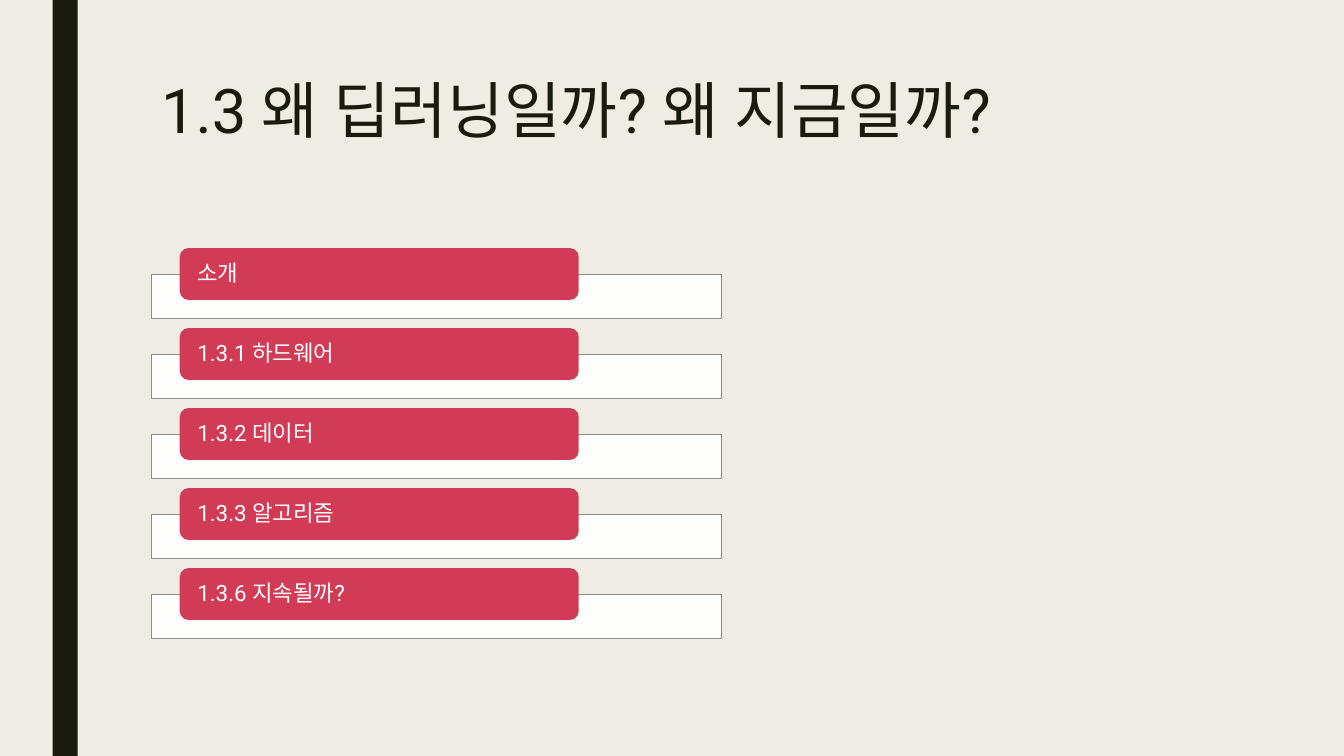
from lxml.etree import SubElement
from pptx import Presentation
from pptx.dml.color import RGBColor
from pptx.enum.shapes import MSO_SHAPE
from pptx.enum.text import MSO_ANCHOR, PP_ALIGN
from pptx.oxml.ns import qn
from pptx.util import Pt

COLORS = {
    "background": "EFEDE3",
    "dark": "191B0E",
    "accent": "D13B56",
    "white": "FFFFFF",
    "outline": "8C8D86",
}
FONT = "Roboto"
TOPICS = ["소개", "1.3.1 하드웨어", "1.3.2 데이터", "1.3.3 알고리즘", "1.3.6 지속될까?"]
FIRST_TOP = 177.2
ROW_STEP = 57.15


def add_block(kind, left, top, width, height, color):
    block = page.shapes.add_shape(kind, Pt(left), Pt(top), Pt(width), Pt(height))
    block.shadow.inherit = False
    block.fill.solid()
    block.fill.fore_color.rgb = RGBColor.from_string(COLORS[color])
    block.line.fill.background()
    return block


def write_text(box, text, size, color, spacing):
    para = box.text_frame.paragraphs[0]
    para.alignment = PP_ALIGN.LEFT
    para.line_spacing = spacing
    span = para.add_run()
    span.text = text
    span.font.size = Pt(size)
    span.font.name = FONT
    span.font.color.rgb = RGBColor.from_string(COLORS[color])
    SubElement(span.font._element, qn("a:ea")).set("typeface", FONT)


deck = Presentation()
deck.slide_width = Pt(960)
deck.slide_height = Pt(540)
page = deck.slides.add_slide(deck.slide_layouts[6])
page.background.fill.solid()
page.background.fill.fore_color.rgb = RGBColor.from_string(COLORS["background"])

add_block(MSO_SHAPE.RECTANGLE, 37.5, 0, 18, 540, "dark")

title = page.shapes.add_textbox(Pt(108), Pt(54), Pt(756), Pt(116.64))
title.text_frame.word_wrap = True
write_text(title, "1.3 왜 딥러닝일까? 왜 지금일까?", 44, "dark", 0.89)

for index, topic in enumerate(TOPICS):
    top = FIRST_TOP + index * ROW_STEP

    panel = add_block(MSO_SHAPE.RECTANGLE, 108, top + 18.6, 407, 31.5, "white")
    panel_color = panel.fill._xPr.find(qn("a:solidFill"))[0]
    SubElement(panel_color, qn("a:alpha")).set("val", "90000")
    panel.line.color.rgb = RGBColor.from_string(COLORS["outline"])
    panel.line.width = Pt(0.5)

    label = add_block(MSO_SHAPE.ROUNDED_RECTANGLE, 128.4, top, 285, 37, "accent")
    frame = label.text_frame
    frame.word_wrap = True
    frame.vertical_anchor = MSO_ANCHOR.MIDDLE
    frame.margin_left = frame.margin_right = Pt(10.8)
    frame.margin_top = frame.margin_bottom = Pt(0)
    write_text(label, topic, 16, "white", 0.9)

deck.save("out.pptx")
